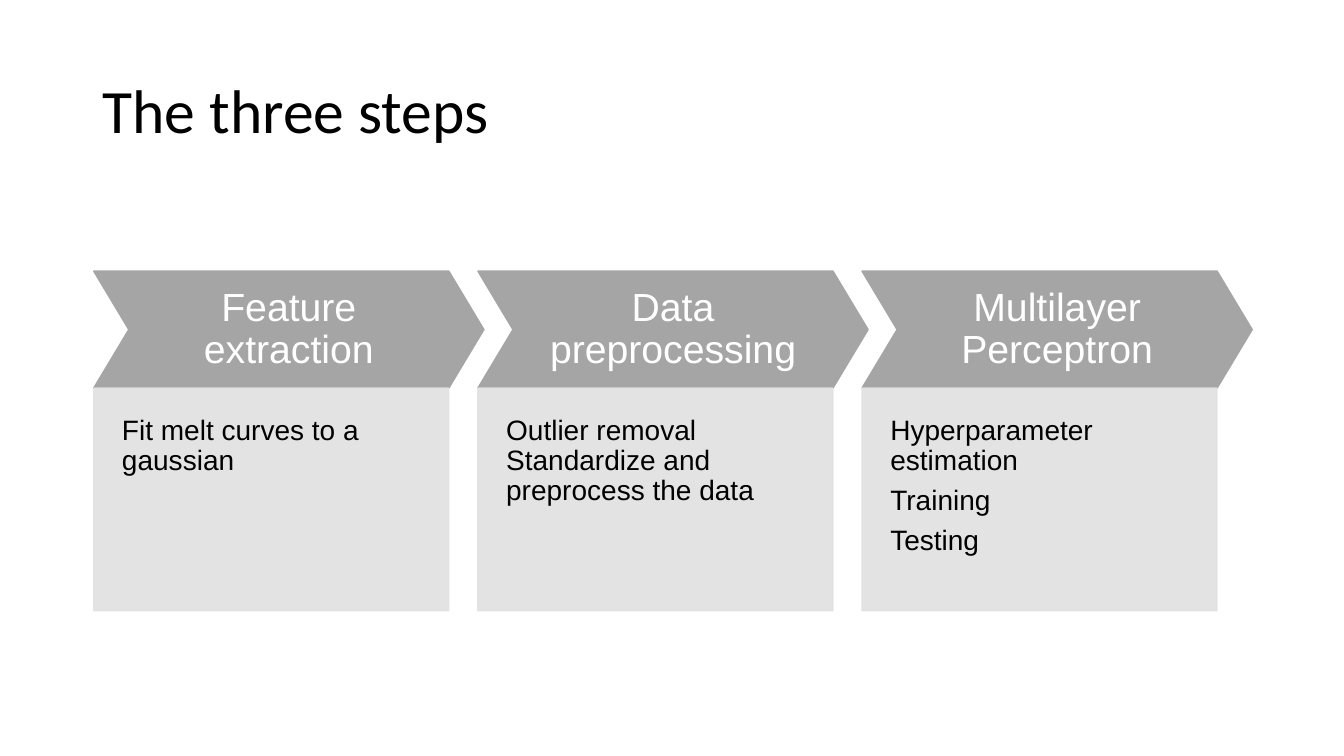
from lxml.etree import SubElement
from pptx import Presentation
from pptx.dml.color import RGBColor
from pptx.enum.shapes import MSO_SHAPE as Shape
from pptx.enum.text import MSO_ANCHOR as Anchor, PP_ALIGN as Align
from pptx.oxml.ns import qn
from pptx.util import Inches, Pt

STEPS = [
    ("Feature extraction", ["Fit melt curves to a gaussian"]),
    ("Data preprocessing",
     ["Outlier removal Standardize and preprocess the data"]),
    ("Multilayer Perceptron",
     ["Hyperparameter estimation", "Training", "Testing"]),
]

# Grid in inches
LEFT, PITCH = 0.93, 3.81
HEAD_TOP, HEAD_WIDTH, HEAD_HEIGHT = 2.69, 3.87, 1.16
BODY_TOP, BODY_WIDTH, BODY_HEIGHT = 3.85, 3.52, 2.21


def paint(color_format, color):
    color_format.rgb = RGBColor.from_string(color)


def write(box, lines, size, font, color, align, anchor, margins, gap=0):
    frame = box.text_frame
    frame.word_wrap = True
    frame.vertical_anchor = anchor
    (frame.margin_left, frame.margin_top,
     frame.margin_right, frame.margin_bottom) = map(Inches, margins)
    frame.text = "\n".join(lines)
    for para in frame.paragraphs:
        para.alignment = align
        para.line_spacing = 0.9
        para.space_after = Pt(gap)
        for span in para.runs:
            span.font.name = font
            span.font.size = Pt(size)
            paint(span.font.color, color)


deck = Presentation()
deck.slide_width, deck.slide_height = Inches(13.33), Inches(7.5)
page = deck.slides.add_slide(deck.slide_layouts[6])

# Title
title = page.shapes.add_textbox(*map(Inches, (0.92, 0.4, 11.5, 1.45)))
write(title, ["The three steps"], 44, "Calibri", "000000",
      Align.LEFT, Anchor.MIDDLE, (0.1, 0.05, 0.1, 0.05))

# One chevron and one panel per step
for column, (heading, details) in enumerate(STEPS):
    left = LEFT + column * PITCH
    chevron = page.shapes.add_shape(
        Shape.CHEVRON, *map(Inches, (left, HEAD_TOP, HEAD_WIDTH, HEAD_HEIGHT)))
    chevron.adjustments[0] = 0.3
    panel = page.shapes.add_shape(
        Shape.RECTANGLE, *map(Inches, (left, BODY_TOP, BODY_WIDTH, BODY_HEIGHT)))

    for box, color in ((chevron, "A5A5A5"), (panel, "E1E1E1")):
        box.shadow.inherit = False
        box.fill.solid()
        paint(box.fill.fore_color, color)
        paint(box.line.color, color)
        box.line.width = Pt(1)

    # Panels are slightly see-through
    for tint in panel._element.spPr.iter(qn("a:srgbClr")):
        SubElement(tint, qn("a:alpha"), val="90000")

    write(chevron, [heading], 28, "Arial", "FFFFFF",
          Align.CENTER, Anchor.MIDDLE, (0.14, 0.14, 0.14, 0.14))
    write(panel, details, 20, "Arial", "000000",
          Align.LEFT, Anchor.TOP, (0.28, 0.28, 0.28, 0.56), gap=7)

deck.save("out.pptx")
